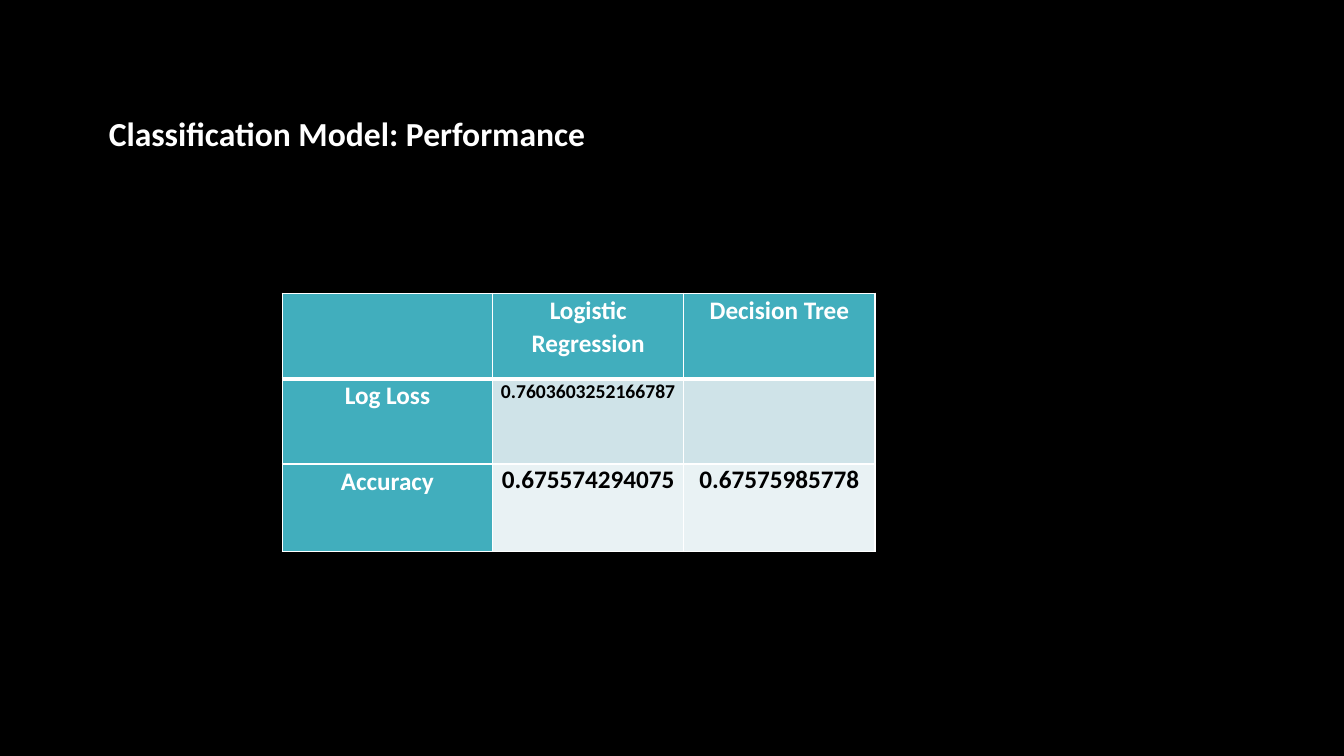
"""Build the slide that compares the performance of two classification models."""
from lxml import etree
from pptx import Presentation
from pptx.dml.color import RGBColor
from pptx.enum.text import MSO_ANCHOR, PP_ALIGN
from pptx.oxml.ns import qn
from pptx.util import Pt

CENTER, LEFT = PP_ALIGN.CENTER, PP_ALIGN.LEFT
TOP = MSO_ANCHOR.TOP
TITLE_ONLY = 5
COLORS = {
    "background": "000000",
    "light_text": "FFFFFF",
    "dark_text": "000000",
    "border": "FFFFFF",
    "heading": "41AEBD",
    "log_loss": "CFE3E8",
    "accuracy": "E9F2F4",
}


def rgb(name):
    return RGBColor.from_string(COLORS[name])


def add_border(cell, side, points):
    line = etree.SubElement(cell._tc.get_or_add_tcPr(), qn(f"a:ln{side}"), w=str(Pt(points)))
    fill = etree.SubElement(line, qn("a:solidFill"))
    etree.SubElement(fill, qn("a:srgbClr"), val=COLORS["border"])


presentation = Presentation()
presentation.slide_width = Pt(960)
presentation.slide_height = Pt(540)
slide = presentation.slides.add_slide(presentation.slide_layouts[TITLE_ONLY])
slide.background.fill.solid()
slide.background.fill.fore_color.rgb = rgb("background")

title = slide.shapes.title
title.left, title.top, title.width, title.height = Pt(70.5), Pt(77), Pt(819.5), Pt(36)
title.text_frame.text = "Classification Model: Performance"
title.text_frame.vertical_anchor = TOP
heading = title.text_frame.paragraphs[0]
heading.alignment = LEFT
heading.font.name = "Calibri"
heading.font.size = Pt(24)
heading.font.bold = True
heading.font.color.rgb = rgb("light_text")

results = [
    ["", "Logistic Regression", "Decision Tree"],
    ["Log Loss", "0.7603603252166787", ""],
    ["Accuracy", "0.675574294075", "0.67575985778"],
]
row_fills = ["heading", "log_loss", "accuracy"]
column_widths = [150.3, 136.6, 136.6]
row_heights = [61, 61, 62.6]

performance = slide.shapes.add_table(
    3, 3, Pt(201.6), Pt(209.5), Pt(sum(column_widths)), Pt(sum(row_heights))
).table
for column, width in zip(performance.columns, column_widths):
    column.width = Pt(width)
for row, height in zip(performance.rows, row_heights):
    row.height = Pt(height)

for r, values in enumerate(results):
    for c, value in enumerate(values):
        cell = performance.cell(r, c)
        is_heading = r == 0 or c == 0
        cell.margin_left = cell.margin_right = Pt(5.4)
        cell.margin_top = cell.margin_bottom = 0
        add_border(cell, "L", 1)
        add_border(cell, "R", 1)
        add_border(cell, "T", 3 if r == 1 else 1)
        add_border(cell, "B", 3 if r == 0 else 1)
        cell.fill.solid()
        cell.fill.fore_color.rgb = rgb("heading" if is_heading else row_fills[r])

        cell.text = value
        entry = cell.text_frame.paragraphs[0]
        entry.alignment = CENTER
        entry.line_spacing = 1.07 if is_heading or r == 1 else 1.0
        entry.font.name = "Calibri"
        entry.font.size = Pt(14 if r == 1 and not is_heading else 18)
        entry.font.bold = True
        entry.font.color.rgb = rgb("light_text" if is_heading else "dark_text")

presentation.save("out.pptx")
